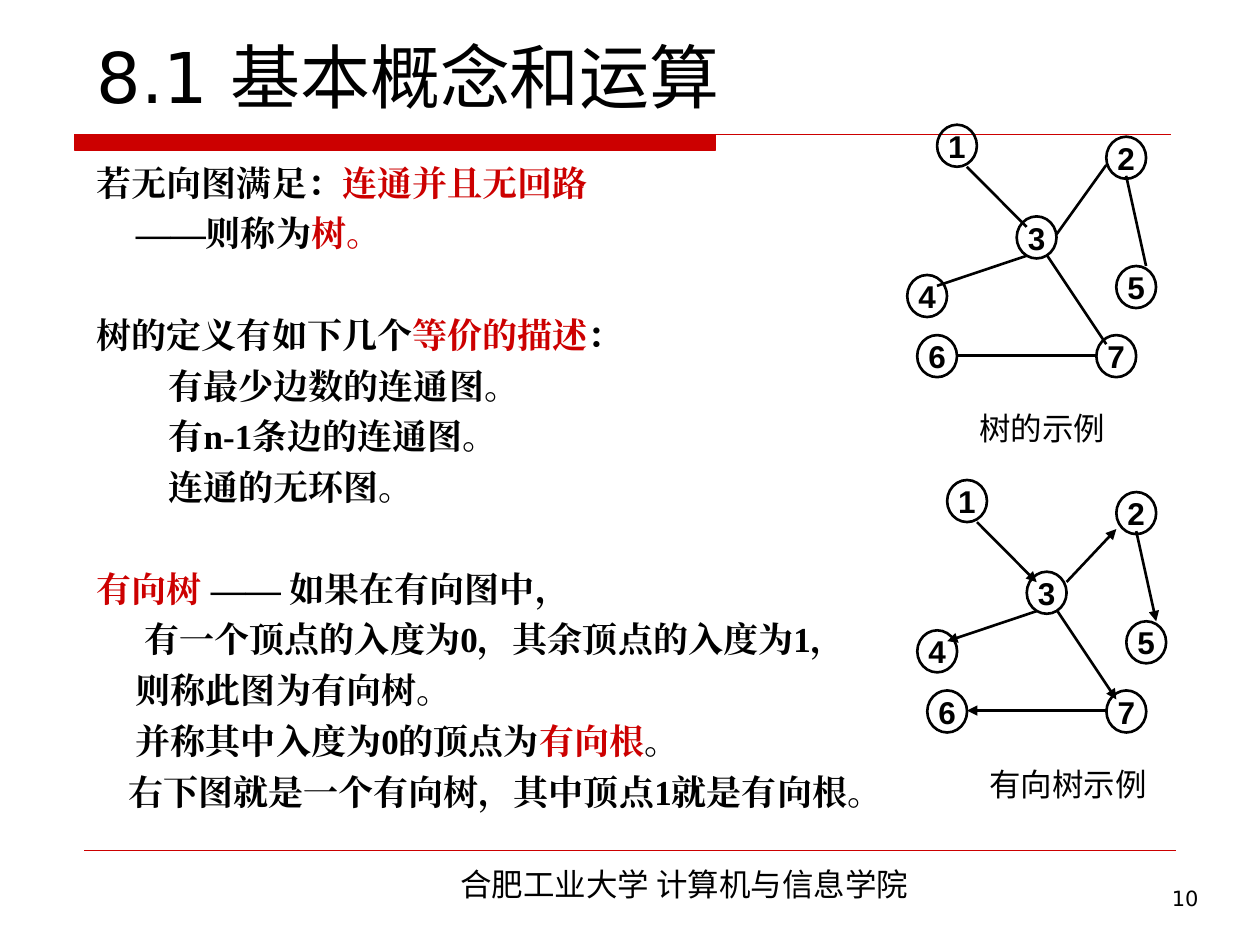
from typing import NamedTuple

from lxml import etree
from pptx import Presentation
from pptx import util as u
from pptx.dml.color import RGBColor
from pptx.enum import shapes, text
from pptx.oxml import ns

BLACK = RGBColor(0x00, 0x00, 0x00)
RED = RGBColor(0xCC, 0x00, 0x00)
CJK, SANS, SERIF, LABEL = "Noto Sans CJK SC", "DejaVu Sans", "Times New Roman", "Arial"

# Graph grid: 20 columns and 7 rows span the node positions
COL, ROW = 1.58 / 20, 1.67 / 7
NODE_COLS, NODE_ROWS = 4, 1.4


class Run(NamedTuple):
    words: str
    color: RGBColor = BLACK


class Line(NamedTuple):
    runs: list[Run]
    indent: float = 0
    before: float = 5


class Box(NamedTuple):
    left: float
    top: float
    width: float
    height: float


class Style(NamedTuple):
    font: str
    size: float
    bold: bool = False
    align: text.PP_ALIGN = text.PP_ALIGN.LEFT


class Edge(NamedTuple):
    start: tuple[float, float]
    end: tuple[float, float]


class Graph(NamedTuple):
    left: float
    top: float
    caption: str
    upper_right: Edge
    directed: bool


# Nodes and edges as (column, row)
NODES = {"6": (1, 7), "7": (19, 7), "1": (3, 0), "2": (20, 0.4),
         "5": (21, 4.7), "3": (11, 3.05), "4": (0, 5)}
SHARED_EDGES = [
    Edge((22, 1.7), (24, 4.7)),
    Edge((6, 1.4), (12, 3.4)),
    Edge((12, 4.36), (3, 5.36)),
    Edge((19, 7.67), (5, 7.67)),
    Edge((14, 4.32), (20, 7.3)),
]
GRAPHS = [
    Graph(7.2, 0.99, "树的示例", Edge((15, 3.65), (20, 1.34)), False),
    Graph(7.28, 3.81, "有向树示例", Edge((15, 3.39), (20, 1.63)), True),
]

NEW_TOPIC = 34  # space before a paragraph that opens a topic, in points
BODY = [
    Line([Run("若无向图满足："), Run("连通并且无回路", RED)], before=0),
    Line([Run("——则称为"), Run("树。", RED)], 0.31),
    Line([Run("树的定义有如下几个"), Run("等价的描述", RED), Run("：")], before=NEW_TOPIC),
    Line([Run("有最少边数的连通图。")], 0.57),
    Line([Run("有n-1条边的连通图。")], 0.57),
    Line([Run("连通的无环图。")], 0.57),
    Line([Run("有向树 ", RED), Run("—— 如果在有向图中，")], before=NEW_TOPIC),
    Line([Run("有一个顶点的入度为0，其余顶点的入度为1，")], 0.38),
    Line([Run("则称此图为有向树。")], 0.31),
    Line([Run("并称其中入度为0的顶点为"), Run("有向根", RED), Run("。")], 0.31),
    Line([Run("右下图就是一个有向树，其中顶点1就是有向根。")], 0.25),
]


def write(frame, lines: list[Line], style: Style, **frame_format) -> None:
    for name, value in frame_format.items():
        setattr(frame, name, value)
    for number, line in enumerate(lines):
        para = frame.add_paragraph() if number else frame.paragraphs[0]
        para.alignment = style.align
        para.space_before = u.Pt(line.before)
        if line.indent:
            para._p.get_or_add_pPr().set("marL", str(u.Inches(line.indent)))
        for words, color in line.runs:
            run = para.add_run()
            run.text = words
            font = {"size": u.Pt(style.size), "bold": style.bold, "name": style.font}
            for name, value in font.items():
                setattr(run.font, name, value)
            run.font.color.rgb = color
            east_asian = etree.SubElement(run._r.get_or_add_rPr(), ns.qn("a:ea"))
            east_asian.set("typeface", style.font)


def add_text(parent, box: Box, lines: list[Line], style: Style, **frame_format) -> None:
    frame = parent.add_textbox(*map(u.Inches, box)).text_frame
    write(frame, lines, style, word_wrap=True, **frame_format)


def one_line(words: str) -> list[Line]:
    return [Line([Run(words)], before=0)]


def add_line(parent, start, end, color: RGBColor, width: float, arrow: bool = False) -> None:
    ends = [u.Inches(value) for value in (*start, *end)]
    line = parent.add_connector(shapes.MSO_CONNECTOR.STRAIGHT, *ends)
    line.line.color.rgb = color
    line.line.width = u.Pt(width)
    if arrow:
        tail = etree.SubElement(line.line._get_or_add_ln(), ns.qn("a:tailEnd"))
        tail.set("type", "triangle")
    etree.SubElement(line._element.spPr, ns.qn("a:effectLst"))


def add_graph(slide, graph: Graph) -> None:
    group = slide.shapes.add_group_shape().shapes

    def place(point: tuple[float, float]) -> tuple[float, float]:
        return graph.left + point[0] * COL, graph.top + point[1] * ROW

    for edge in [graph.upper_right, *SHARED_EDGES]:
        add_line(group, place(edge.start), place(edge.end), BLACK, 1.5, graph.directed)
    for label, point in NODES.items():
        box = Box(*place(point), NODE_COLS * COL, NODE_ROWS * ROW)
        node = group.add_shape(shapes.MSO_SHAPE.OVAL, *map(u.Inches, box))
        node.shadow.inherit = False
        node.fill.background()
        node.line.color.rgb = BLACK
        node.line.width = u.Pt(1.5)
        write(node.text_frame, one_line(label),
              Style(LABEL, 18, True, text.PP_ALIGN.CENTER),
              word_wrap=False, vertical_anchor=text.MSO_ANCHOR.MIDDLE)
    add_text(group, Box(*place((6, 9.26)), 1.58, 0.4), one_line(graph.caption),
             Style(LABEL, 18), auto_size=text.MSO_AUTO_SIZE.SHAPE_TO_FIT_TEXT)


def add_title_rule(slide) -> None:
    left, top, bar_right, bar_bottom, right = map(u.Inches, (0.59, 1.07, 5.68, 1.19, 9.29))
    builder = slide.shapes.build_freeform(left, top)
    builder.add_line_segments([(bar_right, top), (bar_right, bar_bottom), (left, bar_bottom)])
    builder.move_to(left, top)
    builder.add_line_segments([(right, top)], close=False)
    rule = builder.convert_to_shape()
    rule.shadow.inherit = False
    rule.fill.solid()
    rule.fill.fore_color.rgb = RED
    rule.line.color.rgb = RED
    rule.line.width = u.Pt(0.75)


def main() -> None:
    deck = Presentation()
    deck.slide_width, deck.slide_height = u.Inches(10), u.Inches(7.5)
    slide = deck.slides.add_slide(deck.slide_layouts[6])

    # Rules and footer
    add_title_rule(slide)
    add_line(slide.shapes, (0.67, 6.75), (9.33, 6.75), RED, 0.25)
    add_text(slide.shapes, Box(2.4, 6.82, 6.06, 0.4),
             one_line("合肥工业大学 计算机与信息学院"),
             Style(CJK, 18, align=text.PP_ALIGN.CENTER),
             auto_size=text.MSO_AUTO_SIZE.SHAPE_TO_FIT_TEXT)

    # Title and definitions
    add_text(slide.shapes, Box(0.67, -0.35, 8.75, 1.33), one_line("8.1 基本概念和运算"),
             Style(SANS, 40), vertical_anchor=text.MSO_ANCHOR.BOTTOM)
    add_text(slide.shapes, Box(0.67, 1.23, 8.74, 5.43), BODY, Style(SERIF, 20, True))

    # Example graphs
    for graph in GRAPHS:
        add_graph(slide, graph)

    # Page number
    add_text(slide.shapes, Box(7.44, 6.98, 2.17, 0.52), one_line("10"),
             Style(SANS, 12, align=text.PP_ALIGN.RIGHT))
    deck.save("out.pptx")


if __name__ == "__main__":
    main()
